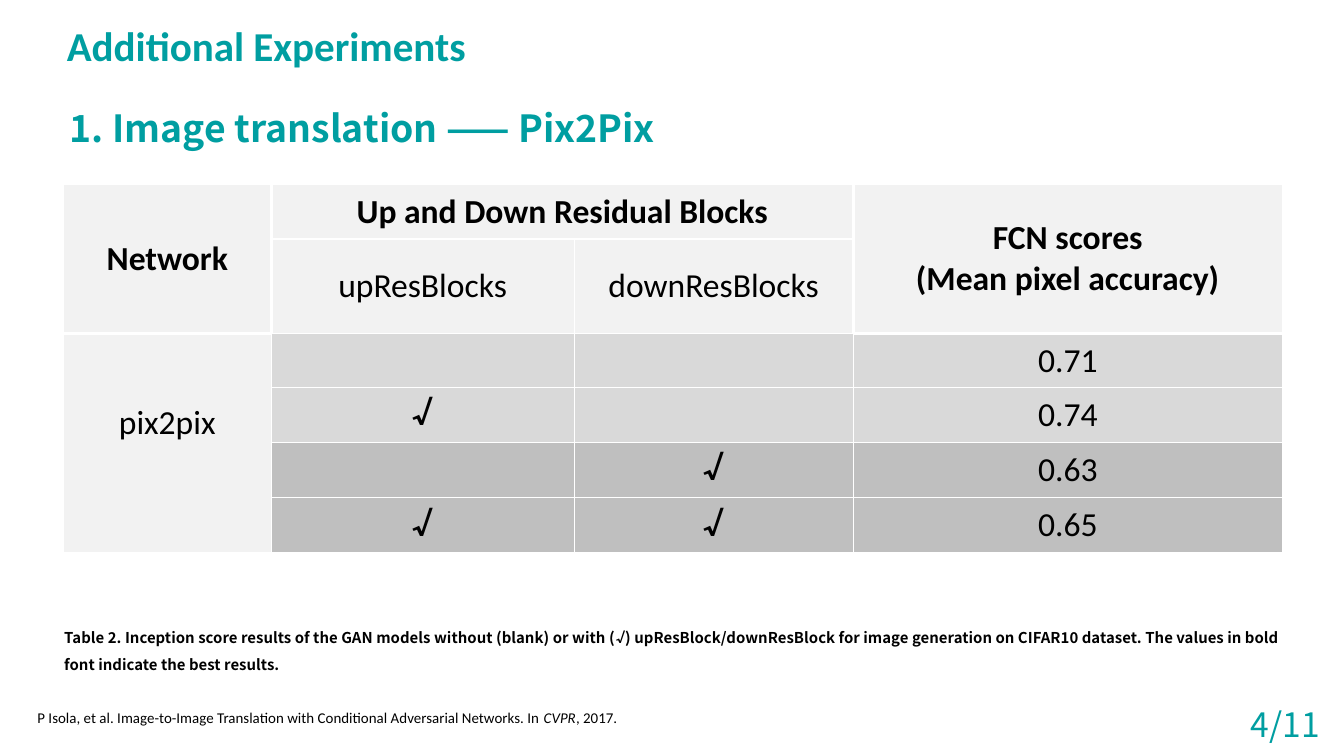
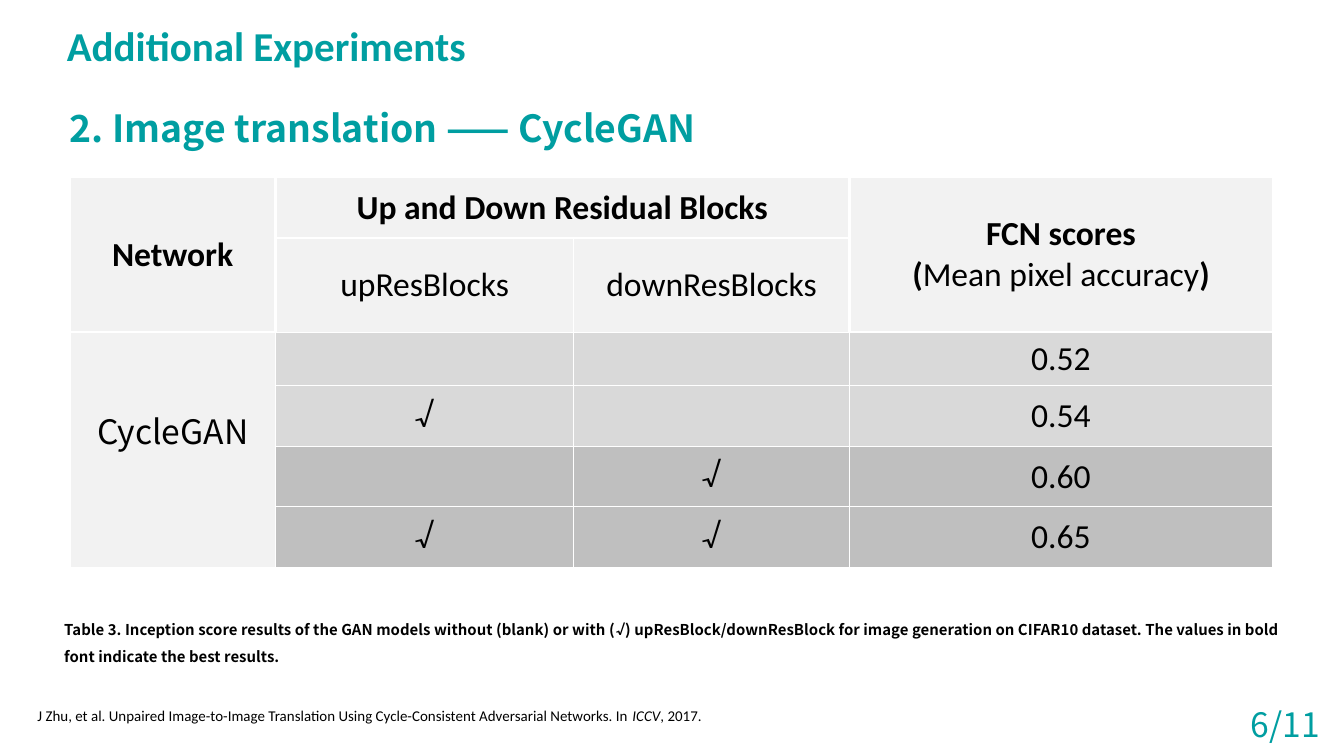
from dataclasses import dataclass, replace

from lxml import etree
from pptx import Presentation
from pptx.dml.color import RGBColor
from pptx.enum.text import MSO_ANCHOR, MSO_AUTO_SIZE, PP_ALIGN
from pptx.oxml.ns import qn
from pptx.slide import Slide
from pptx.table import Table, _Cell
from pptx.text.text import TextFrame, _Paragraph
from pptx.util import Inches, Pt

CENTER, JUSTIFY = PP_ALIGN.CENTER, PP_ALIGN.JUSTIFY
MIDDLE = MSO_ANCHOR.MIDDLE
GROW = MSO_AUTO_SIZE.SHAPE_TO_FIT_TEXT
BLANK = 6


@dataclass(frozen=True)
class Theme:
    teal: str = "009EA1"
    black: str = "000000"
    white: str = "FFFFFF"
    head: str = "F2F2F2"
    light: str = "D9D9D9"
    dark: str = "BFBFBF"
    sans: str = "Calibri"
    wide: str = "Noto Sans CJK SC"
    mark: str = "Karla"
    title: int = 22
    topic: int = 20
    body: int = 18
    note: int = 8
    thin: float = 0.45
    thick: float = 1.47


THEME = Theme()


@dataclass(frozen=True)
class Span:
    text: str
    font: str = THEME.sans
    size: int = THEME.body
    color: str = THEME.black
    bold: bool = False
    italic: bool = False


@dataclass(frozen=True)
class Box:
    left: float
    top: float
    width: float
    height: float


@dataclass(frozen=True)
class Study:
    number: int
    page: int
    name: str
    label: Span
    unit: list[Span]
    bold_marks: bool
    spot: Box
    cols: list[float]
    rows: list[float]
    values: list[str]
    note_top: float
    cite_top: float
    cite: str
    venue: str


STUDIES = [
    Study(1, 4, "Pix2Pix", Span("pix2pix"),
          [Span("(Mean pixel accuracy)", bold=True)], True,
          Box(0.47, 1.37, 9.07, 2.74),
          [1.55, 2.25, 2.08, 3.19], [0.41, 0.7, 0.4] + [0.41] * 3,
          ["0.71", "0.74", "0.63", "0.65"], 4.56, 5.22,
          "P Isola, et al. Image-to-Image Translation with Conditional "
          "Adversarial Networks. In ", "CVPR"),
    Study(2, 6, "CycleGAN", Span("CycleGAN", THEME.wide),
          [Span("(", bold=True), Span("Mean pixel accuracy"),
           Span(")", bold=True)], False,
          Box(0.52, 1.32, 8.96, 2.89),
          [1.53, 2.22, 2.05, 3.15], [0.45, 0.7, 0.4] + [0.45] * 3,
          ["0.52", "0.54", "0.60", "0.65"], 4.5, 5.21,
          "J Zhu, et al. Unpaired Image-to-Image Translation Using "
          "Cycle-Consistent Adversarial Networks. In ", "ICCV"),
]

# Merged blocks as (first row, first column, last row, last column)
MERGES = [(0, 0, 1, 0), (0, 1, 0, 2), (0, 3, 1, 3), (2, 0, 5, 0)]

# Sides with a thick rule, by (row, column)
THICK = {
    (0, 0): "RB", (0, 1): "B", (0, 2): "RB", (0, 3): "LB",
    (1, 0): "RB", (1, 1): "LT", (1, 2): "TR", (1, 3): "LB",
    (2, 0): "T", (2, 3): "T",
}


def write(para: _Paragraph, spans: list[Span]) -> None:
    for span in spans:
        run = para.add_run()
        run.text = span.text
        font = run.font
        font.name, font.size = span.font, Pt(span.size)
        font.bold, font.italic = span.bold, span.italic
        font.color.rgb = RGBColor.from_string(span.color)


def add_text(slide: Slide, box: Box, spans: list[Span],
             wrap: bool = True, block: bool = False) -> None:
    """Add a text box; block sets justified, widely spaced lines."""
    frame: TextFrame = slide.shapes.add_textbox(
        Inches(box.left), Inches(box.top),
        Inches(box.width), Inches(box.height)).text_frame
    frame.word_wrap = wrap
    frame.auto_size = GROW
    para = frame.paragraphs[0]
    write(para, spans)
    if block:
        para.alignment = JUSTIFY
        para.line_spacing = 1.5
        para.space_after = Pt(12)


def fill_cell(cell: _Cell, *lines: list[Span]) -> None:
    frame = cell.text_frame
    for i, spans in enumerate(lines):
        para = frame.add_paragraph() if i else frame.paragraphs[0]
        para.alignment = CENTER
        write(para, spans)


def rule_cell(cell: _Cell, thick: str) -> None:
    """Draw the four white borders, thick on the sides named."""
    props = cell._tc.get_or_add_tcPr()
    for i, side in enumerate("LRTB"):
        width = THEME.thick if side in thick else THEME.thin
        line = etree.Element(qn(f"a:ln{side}"), w=str(int(Pt(width))))
        fill = etree.SubElement(line, qn("a:solidFill"))
        etree.SubElement(fill, qn("a:srgbClr"), val=THEME.white)
        props.insert(i, line)


def shade(row: int, col: int) -> str:
    if row < 2 or col == 0:
        return THEME.head
    return THEME.light if row < 4 else THEME.dark


def style_table(table: Table, study: Study) -> None:
    table.first_row = table.horz_banding = False
    for col, width in zip(table.columns, study.cols):
        col.width = Inches(width)
    for row, height in zip(table.rows, study.rows):
        row.height = Inches(height)
    for r in range(len(study.rows)):
        for c in range(len(study.cols)):
            cell = table.cell(r, c)
            cell.vertical_anchor = MIDDLE
            cell.fill.solid()
            cell.fill.fore_color.rgb = RGBColor.from_string(shade(r, c))
            rule_cell(cell, THICK.get((r, c), ""))
    for top, left, bottom, right in MERGES:
        table.cell(top, left).merge(table.cell(bottom, right))


def add_scores(slide: Slide, study: Study) -> None:
    spot = study.spot
    table = slide.shapes.add_table(
        len(study.rows), len(study.cols), Inches(spot.left),
        Inches(spot.top), Inches(spot.width), Inches(spot.height)).table
    style_table(table, study)

    fill_cell(table.cell(0, 0), [Span("Network", bold=True)])
    fill_cell(table.cell(0, 1),
              [Span("Up and Down Residual Blocks", bold=True)])
    fill_cell(table.cell(0, 3), [Span("FCN scores", bold=True)], study.unit)
    fill_cell(table.cell(1, 1), [Span("upResBlocks")])
    fill_cell(table.cell(1, 2), [Span("downResBlocks")])
    fill_cell(table.cell(2, 0), [study.label])
    table.cell(2, 0).margin_bottom = Inches(0.35)

    tick = Span("√", THEME.mark, bold=study.bold_marks)
    for i, value in enumerate(study.values):
        up, down = i % 2 == 1, i >= 2
        for col, used in ((1, up), (2, down)):
            if used:
                fill_cell(table.cell(i + 2, col), [tick])
        fill_cell(table.cell(i + 2, 3), [Span(value)])


def add_frame(slide: Slide, study: Study) -> None:
    """Add the topic, title and page number."""
    topic = f"{study.number}. Image translation —— {study.name}"
    add_text(slide, Box(0.42, 0.57, 9.25, 0.6),
             [Span(topic, THEME.wide, THEME.topic, THEME.teal, True)],
             block=True)
    add_text(slide, Box(0.4, 0.1, 3.17, 0.47),
             [Span("Additional Experiments", THEME.sans, THEME.title,
                   THEME.teal, True)], wrap=False)
    add_text(slide, Box(9.21, 5.19, 0.8, 0.4),
             [Span(f"{study.page}/11", THEME.wide, THEME.body, THEME.teal)],
             wrap=False)


def add_notes(slide: Slide, study: Study) -> None:
    """Add the table caption and the citation."""
    bold = Span(
        f"Table {study.number + 1}. Inception score results of the GAN "
        "models without (blank) or with (",
        THEME.wide, THEME.note, bold=True)
    rest = (") upResBlock/downResBlock for image generation on CIFAR10 "
            "dataset. The values in bold font indicate the best results.")
    add_text(slide, Box(0.38, study.note_top, 9.24, 0.5),
             [bold, replace(bold, text="√", font=THEME.mark),
              replace(bold, text=rest)], block=True)
    plain = Span(study.cite, size=THEME.note)
    add_text(slide, Box(0.18, study.cite_top, 9.09, 0.24),
             [plain, replace(plain, text=study.venue, italic=True),
              replace(plain, text=", 2017.")])


def main() -> None:
    deck = Presentation()
    deck.slide_width = Inches(10)
    deck.slide_height = deck.slide_width * 9 // 16
    for study in STUDIES:
        slide = deck.slides.add_slide(deck.slide_layouts[BLANK])
        add_frame(slide, study)
        add_scores(slide, study)
        add_notes(slide, study)
    deck.save("out.pptx")


if __name__ == "__main__":
    main()
